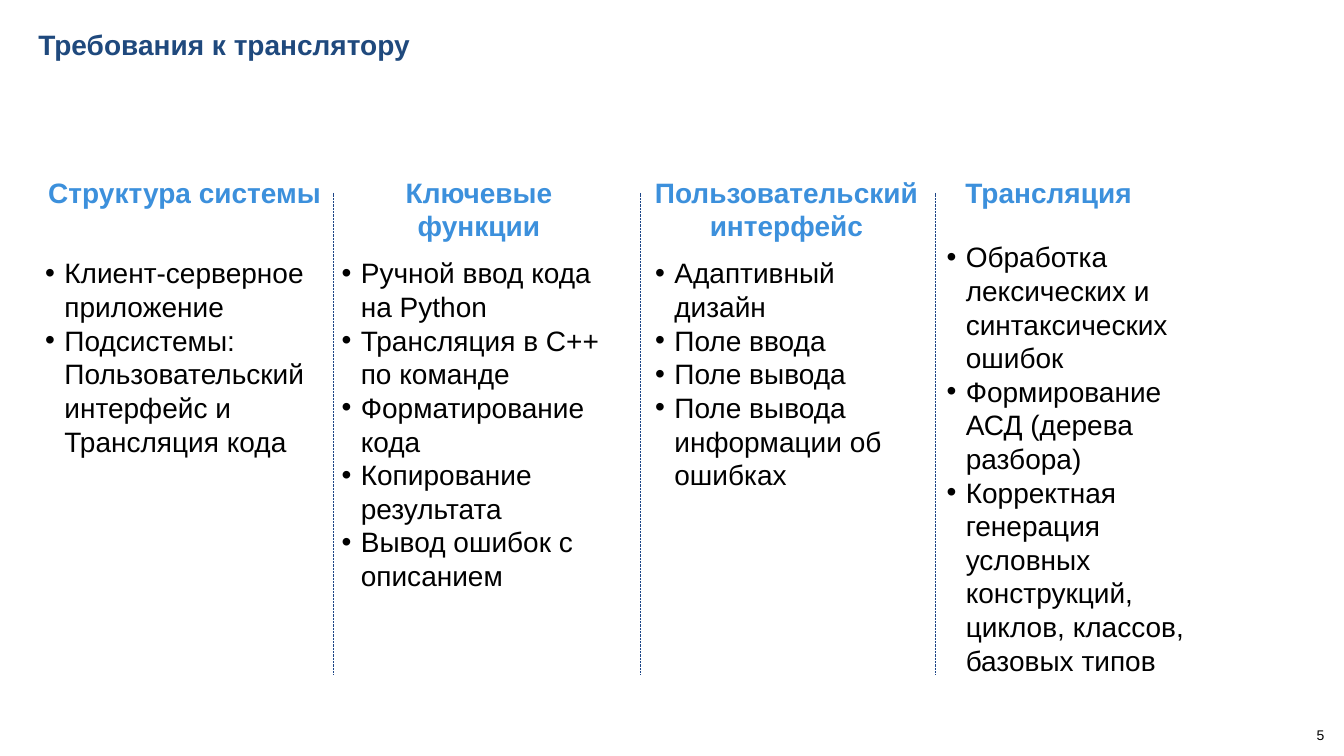
from dataclasses import dataclass

from lxml.etree import SubElement
from pptx import Presentation
from pptx.dml.color import RGBColor
from pptx.enum.dml import MSO_LINE_DASH_STYLE as Dash
from pptx.enum.shapes import MSO_CONNECTOR as Connector
from pptx.enum.text import MSO_ANCHOR as Anchor, MSO_AUTO_SIZE as AutoSize, PP_ALIGN as Align
from pptx.oxml.ns import qn
from pptx.shapes.base import BaseShape
from pptx.slide import Slide
from pptx.util import Inches, Pt


@dataclass(frozen=True)
class Theme:
    font: str = "Arial"
    title: RGBColor = RGBColor(0x1F, 0x49, 0x7D)
    heading: RGBColor = RGBColor(0x3C, 0x90, 0xDC)
    body: RGBColor = RGBColor(0, 0, 0)
    divider: RGBColor = RGBColor(0x1C, 0x45, 0x87)
    text_size: int = 20
    number_size: int = 10
    divider_width: float = 0.5


@dataclass(frozen=True)
class Column:
    heading: str
    items: tuple[str, ...]
    heading_left: float
    list_left: float
    list_top: float = 2.49
    list_height: float = 4.32
    align: Align = Align.CENTER


THEME = Theme()
HEADING_TOP, HEADING_WIDTH, HEADING_HEIGHT = 1.69, 2.92, 0.64
LIST_WIDTH = 2.81
BULLET_INDENT = Inches(0.19)
DIVIDER_TOP, DIVIDER_BOTTOM = 1.91, 6.69
DIVIDERS = (3.31, 6.35, 9.28)

COLUMNS = (
    Column(
        "Структура системы",
        (
            "Клиент-серверное приложение",
            "Подсистемы: Пользовательский интерфейс и Трансляция кода",
        ),
        0.38, 0.35, list_height=3.62, align=Align.LEFT,
    ),
    Column(
        "Ключевые функции",
        (
            "Ручной ввод кода на Python",
            "Трансляция в C++ по команде",
            "Форматирование кода",
            "Копирование результата",
            "Вывод ошибок с описанием",
        ),
        3.29, 3.29,
    ),
    Column(
        "Пользовательский интерфейс",
        (
            "Адаптивный дизайн",
            "Поле ввода",
            "Поле вывода",
            "Поле вывода информации об ошибках",
        ),
        6.34, 6.4,
    ),
    Column(
        "Трансляция",
        (
            "Обработка лексических и синтаксических ошибок",
            "Формирование АСД (дерева разбора)",
            "Корректная генерация условных конструкций, циклов, классов, базовых типов",
        ),
        8.94, 9.29, list_top=2.33,
    ),
)


def write_text(
    box: BaseShape,
    *lines: str,
    color: RGBColor = THEME.body,
    size: int = THEME.text_size,
    bold: bool = False,
    align: Align = Align.LEFT,
    anchor: Anchor = Anchor.TOP,
    margins: tuple[float, float] = (0.1, 0.05),
    auto_size: AutoSize = AutoSize.NONE,
    bullets: bool = False,
) -> None:
    frame = box.text_frame
    frame.word_wrap = True
    frame.auto_size = auto_size
    frame.vertical_anchor = anchor
    frame.margin_left = frame.margin_right = Inches(margins[0])
    frame.margin_top = frame.margin_bottom = Inches(margins[1])
    for index, line in enumerate(lines):
        para = frame.add_paragraph() if index else frame.paragraphs[0]
        para.alignment = align
        span = para.add_run()
        span.text = line
        span.font.name = THEME.font
        span.font.size = Pt(size)
        span.font.bold = bold
        span.font.color.rgb = color
        if bullets:
            properties = para._p.get_or_add_pPr()
            properties.set("marL", str(BULLET_INDENT))
            properties.set("indent", str(-BULLET_INDENT))
            SubElement(properties, qn("a:buFont"), typeface=THEME.font)
            SubElement(properties, qn("a:buChar"), char="•")


def add_box(page: Slide, left: float, top: float, width: float, height: float) -> BaseShape:
    return page.shapes.add_textbox(Inches(left), Inches(top), Inches(width), Inches(height))


def set_title(page: Slide, text: str) -> None:
    title = page.shapes.title
    title.left, title.top = Inches(0.28), Inches(0.17)
    title.width, title.height = Inches(6.2), Inches(0.54)
    write_text(
        title, text, color=THEME.title, bold=True, align=Align.JUSTIFY,
        margins=(0.1, 0.1), auto_size=AutoSize.SHAPE_TO_FIT_TEXT,
    )


def add_column(page: Slide, column: Column) -> None:
    heading = add_box(page, column.heading_left, HEADING_TOP, HEADING_WIDTH, HEADING_HEIGHT)
    write_text(heading, column.heading, color=THEME.heading, bold=True, align=column.align)
    items = add_box(page, column.list_left, column.list_top, LIST_WIDTH, column.list_height)
    write_text(items, *column.items, bullets=True)


def add_divider(page: Slide, left: float) -> None:
    divider = page.shapes.add_connector(
        Connector.STRAIGHT,
        Inches(left), Inches(DIVIDER_BOTTOM), Inches(left), Inches(DIVIDER_TOP),
    )
    divider.line.color.rgb = THEME.divider
    divider.line.width = Pt(THEME.divider_width)
    divider.line.dash_style = Dash.ROUND_DOT
    SubElement(divider._element.spPr, qn("a:effectLst"))


def main() -> None:
    deck = Presentation()
    deck.slide_width, deck.slide_height = Inches(13.33), Inches(7.5)
    page = deck.slides.add_slide(deck.slide_layouts.get_by_name("Title Only"))
    set_title(page, "Требования к транслятору")
    for column in COLUMNS:
        add_column(page, column)
    for left in DIVIDERS:
        add_divider(page, left)
    number = add_box(page, 12.98, 7.09, 0.34, 0.41)
    write_text(number, "5", size=THEME.number_size, anchor=Anchor.MIDDLE, margins=(0.08, 0.04))
    deck.save("out.pptx")


if __name__ == "__main__":
    main()
